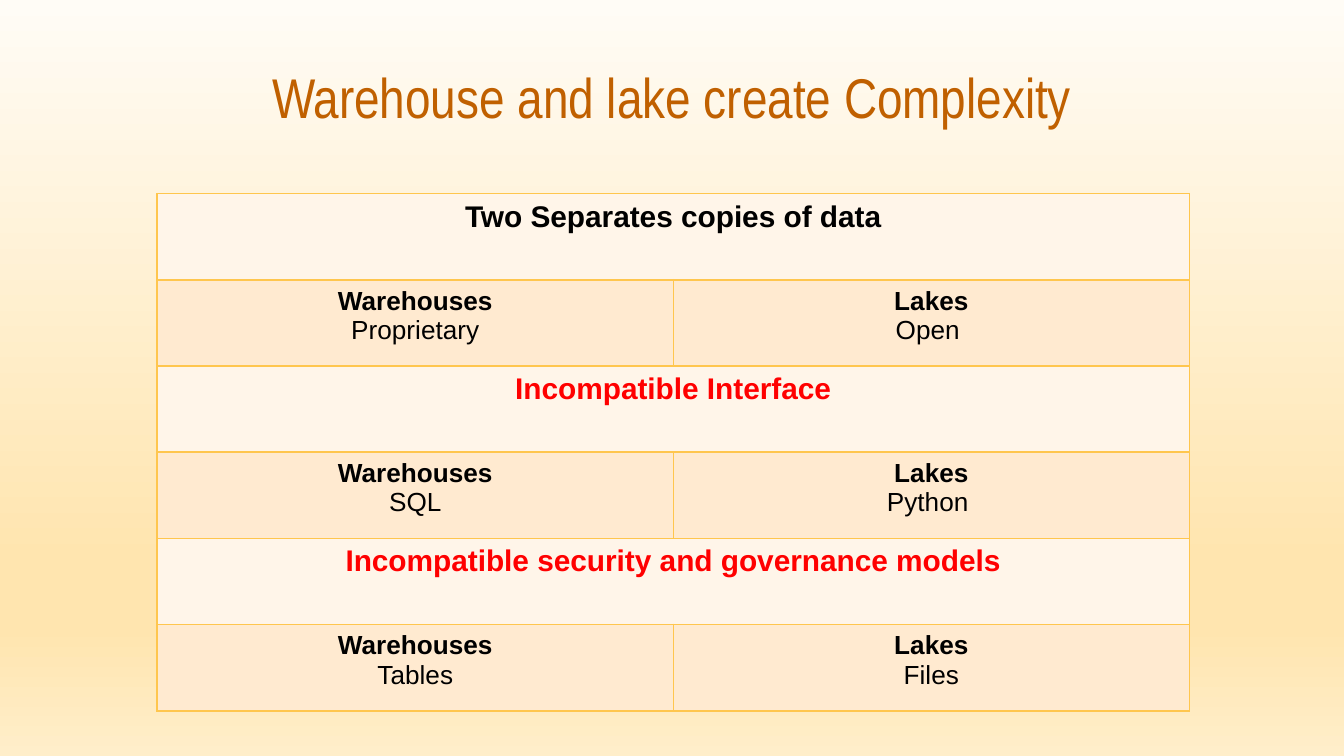
from lxml import etree
from pptx import Presentation
from pptx.dml.color import RGBColor
from pptx.enum.text import MSO_ANCHOR, PP_ALIGN
from pptx.oxml.ns import qn
from pptx.util import Inches, Pt

CENTER = PP_ALIGN.CENTER
MIDDLE = MSO_ANCHOR.MIDDLE
COLORS = {
    "title": "C06000",
    "text": "000000",
    "alert": "FF0000",
    "heading_fill": "FFF5E9",
    "detail_fill": "FFEAD0",
    "border": "FFC64E",
}
BACKGROUND_STOPS = [(0, "FFFCF6"), (74, "FFE5AF"), (83, "FFE5AF"), (100, "FFEECA")]
SECTIONS = [
    ("Two Separates copies of data", "text", "Proprietary", "Open "),
    ("Incompatible Interface", "alert", "SQL", "Python "),
    ("Incompatible security and governance models", "alert", "Tables", "Files"),
]


def add_color(parent, color):
    """Append an RGB colour element to an XML parent."""
    etree.SubElement(parent, qn("a:srgbClr")).set("val", color)


def paint_background(page):
    """Fill the page with a vertical gradient."""
    fill = page.background.fill
    fill.gradient()
    fill.gradient_angle = 270
    stops = next(page.element.iter(qn("a:gsLst")))
    for stop in list(stops):
        stops.remove(stop)
    for position, color in BACKGROUND_STOPS:
        stop = etree.SubElement(stops, qn("a:gs"))
        stop.set("pos", str(position * 1000))
        add_color(stop, color)


def write_line(para, text, size, color, bold=False, font="Arial"):
    """Write one centred run into a paragraph."""
    para.alignment = CENTER
    span = para.add_run()
    span.text = text
    span.font.name = font
    span.font.size = Pt(size)
    span.font.bold = bold
    span.font.color.rgb = RGBColor.from_string(COLORS[color])


def add_title(page, left, top, width, height, text):
    """Place the centred page title."""
    box = page.shapes.add_textbox(Inches(left), Inches(top), Inches(width), Inches(height))
    frame = box.text_frame
    frame.word_wrap = True
    frame.vertical_anchor = MIDDLE
    frame.margin_left = frame.margin_right = Inches(0.1)
    frame.margin_top = frame.margin_bottom = Inches(0.1)
    write_line(frame.paragraphs[0], text, 30, "title", font="Arial Narrow")


def style_cell(cell, fill):
    """Give a cell its borders and fill."""
    properties = cell._tc.get_or_add_tcPr()
    for side in ("a:lnL", "a:lnR", "a:lnT", "a:lnB"):
        line = etree.SubElement(properties, qn(side))
        line.set("w", str(Pt(1)))
        add_color(etree.SubElement(line, qn("a:solidFill")), COLORS["border"])
    cell.fill.solid()
    cell.fill.fore_color.rgb = RGBColor.from_string(COLORS[fill])


def add_comparison(page, left, top, width, height, sections):
    """Place a table with a heading row and a detail row per section."""
    row_count = 2 * len(sections)
    table = page.shapes.add_table(
        row_count, 2, Inches(left), Inches(top), Inches(width), Inches(height)
    ).table
    for index, (heading, color, *details) in enumerate(sections):
        row = 2 * index
        for column, (name, detail) in enumerate(zip(("Warehouses", "Lakes"), details)):
            style_cell(table.cell(row, column), "heading_fill")
            cell = table.cell(row + 1, column)
            style_cell(cell, "detail_fill")
            frame = cell.text_frame
            write_line(frame.paragraphs[0], name, 14, "text", bold=True)
            write_line(frame.add_paragraph(), detail, 14, "text")
        title = table.cell(row, 0)
        title.merge(table.cell(row, 1))
        write_line(title.text_frame.paragraphs[0], heading, 16, color, bold=True)


def main():
    """Build and save the deck."""
    deck = Presentation()
    deck.slide_width = Inches(10)
    deck.slide_height = deck.slide_width * 9 // 16
    page = deck.slides.add_slide(deck.slide_layouts[6])
    paint_background(page)
    add_title(page, 0.5, 0.45, 9, 0.53, "Warehouse and lake create Complexity")
    add_comparison(page, 1.17, 1.44, 7.68, 3.85, SECTIONS)
    deck.save("out.pptx")


if __name__ == "__main__":
    main()
